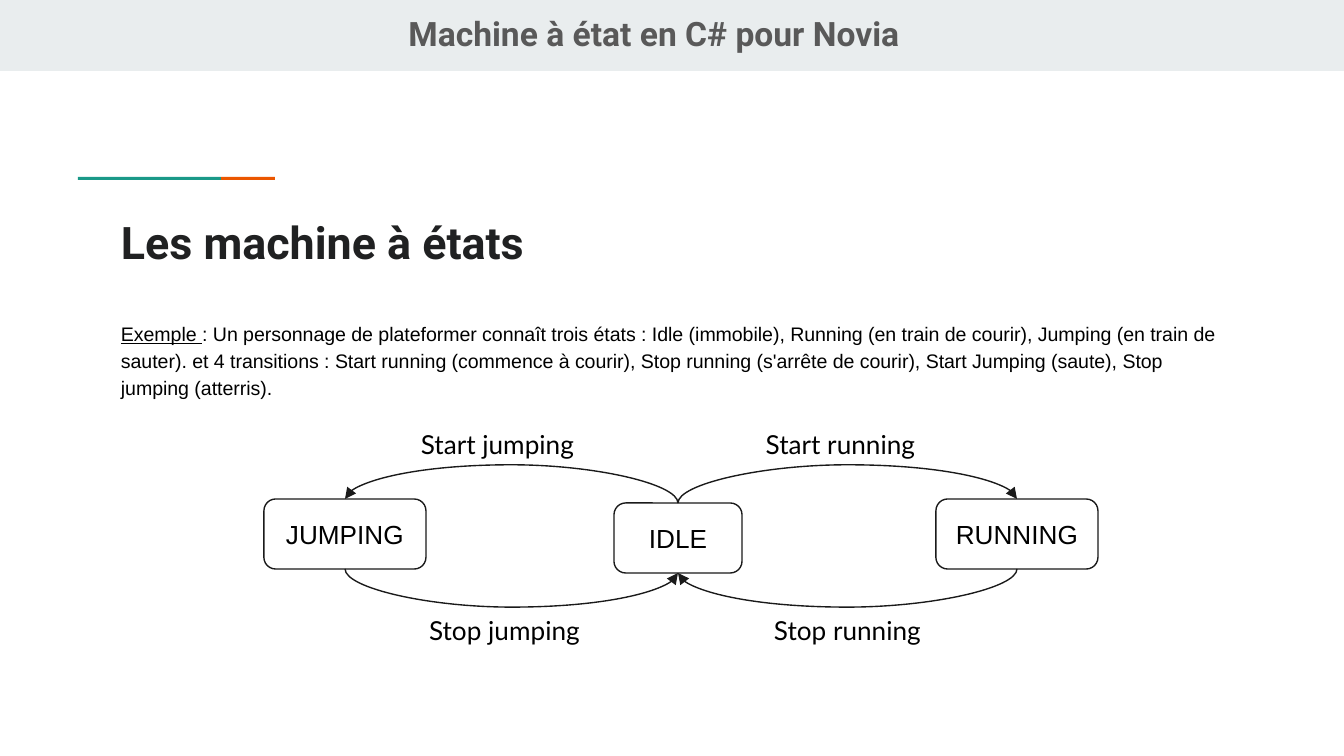
from dataclasses import dataclass

from lxml import etree
from pptx import Presentation
from pptx import util as u
from pptx.dml.color import RGBColor
from pptx.enum import shapes, text
from pptx.oxml import ns

PX = 914400 / 134.4  # EMU per px


def px(n):
    return u.Emu(round(n * PX))


@dataclass(frozen=True)
class Theme:
    band: str = "E9EDEE"
    teal: str = "1A9988"
    orange: str = "EB5600"
    title: str = "202122"
    header: str = "595959"
    ink: str = "000000"
    line: str = "1A1A1A"
    paper: str = "FFFFFF"
    heading_font: str = "Roboto"
    body_font: str = "Arial"
    label_font: str = "Lato"
    title_size: float = 24
    header_size: float = 18
    body_size: float = 10.5
    state_size: float = 14
    line_width: float = 0.75
    inset: int = 13


class Builder:
    TOP, BOTTOM = 0, 2  # connection sites of a box

    def __init__(self, s, theme):
        self.s, self.theme = s, theme

    def rect(self, x, y, w, h, fill, kind=shapes.MSO_SHAPE.RECTANGLE):
        sp = self.s.shapes.add_shape(kind, px(x), px(y), px(w), px(h))
        sp.shadow.inherit = False
        sp.fill.solid()
        sp.fill.fore_color.rgb = RGBColor.from_string(fill)
        sp.line.fill.background()
        return sp

    def paragraph(self, sp, runs, font, size, color, bold=False, center=True):
        """Give a shape one paragraph; runs are (text, underlined) pairs."""
        tf = sp.text_frame
        tf.word_wrap = True
        tf.margin_left = tf.margin_right = px(self.theme.inset)
        tf.margin_top = tf.margin_bottom = px(self.theme.inset)
        p = tf.paragraphs[0]
        p.alignment = text.PP_ALIGN.CENTER if center else text.PP_ALIGN.LEFT
        for words, underlined in runs:
            r = p.add_run()
            r.text = words
            r.font.name, r.font.size = font, u.Pt(size)
            r.font.bold, r.font.underline = bold, underlined
            r.font.color.rgb = RGBColor.from_string(color)
        return p

    def text(self, x, y, w, h, runs, font, size, color, **style):
        sp = self.s.shapes.add_textbox(px(x), px(y), px(w), px(h))
        sp.text_frame.vertical_anchor = text.MSO_ANCHOR.TOP
        return self.paragraph(sp, runs, font, size, color, **style)

    def state(self, name, cx, y, w, h=70):
        t = self.theme
        sp = self.rect(cx - w // 2, y, w, h, t.paper, shapes.MSO_SHAPE.ROUNDED_RECTANGLE)
        sp.line.color.rgb = RGBColor.from_string(t.line)
        sp.line.width = u.Pt(t.line_width)
        sp.text_frame.vertical_anchor = text.MSO_ANCHOR.MIDDLE
        self.paragraph(sp, [(name, False)], t.body_font, t.state_size, t.ink)
        return sp

    def transition(self, start, end, site, bulge=38):
        """Curved arrow between the tops or the bottoms of two states."""
        c = self.s.shapes.add_connector(shapes.MSO_CONNECTOR.CURVE, 0, 0, 0, 0)
        c.begin_connect(start, site)
        c.end_connect(end, site)
        x1, x2 = (b.left + b.width // 2 for b in (start, end))
        y1, y2 = (b.top + (b.height if site == self.BOTTOM else 0) for b in (start, end))

        # The curve lies on its side: its frame is turned a quarter about its centre
        drop, span = abs(y2 - y1), abs(x2 - x1)
        c.left, c.top = (x1 + x2 - drop) // 2, (y1 + y2 - span) // 2
        c.width, c.height = drop, span
        rightward = x2 > x1
        props = c._element.spPr
        xfrm = props.find(ns.qn("a:xfrm"))
        xfrm.set("rot", str((270 if rightward else 90) * 60000))
        xfrm.set("flipH", "1" if rightward == (site == self.BOTTOM) else "0")
        xfrm.set("flipV", "0")
        geom = props.find(ns.qn("a:prstGeom"))
        guides = geom.find(ns.qn("a:avLst"))
        if guides is None:
            guides = etree.SubElement(geom, ns.qn("a:avLst"))
        etree.SubElement(guides, ns.qn("a:gd"), name="adj1",
                         fmla=f"val {round(px(bulge) / drop * 100000)}")

        c.line.color.rgb = RGBColor.from_string(self.theme.line)
        c.line.width = u.Pt(self.theme.line_width)
        etree.SubElement(props.find(ns.qn("a:ln")), ns.qn("a:tailEnd"), type="triangle")
        etree.SubElement(props, ns.qn("a:effectLst"))

    def label(self, words, x, y):
        t = self.theme
        self.text(x, y, 235, 59, [(words, False)], t.label_font, t.state_size, t.ink)


def main():
    prs = Presentation()
    prs.slide_width, prs.slide_height = px(1344), px(756)
    t = Theme()
    b = Builder(prs.slides.add_slide(prs.slide_layouts[6]), t)

    # Header band and accent line
    b.rect(0, 0, 1344, 71, t.band)
    b.rect(221, 177, 54, 3, t.orange)
    b.rect(78, 177, 143, 3, t.teal)

    # Headings
    p = b.text(108, 194, 1130, 79, [("Les machine à états", False)],
               t.heading_font, t.title_size, t.title, bold=True, center=False)
    p.line_spacing = 1.15
    b.text(89, 0, 1130, 70, [("Machine à état en C# pour Novia", False)],
           t.heading_font, t.header_size, t.header, bold=True)

    # Example
    example = (": Un personnage de plateformer connaît trois états : Idle (immobile), "
               "Running (en train de courir), Jumping (en train de sauter). et 4 transitions : "
               "Start running (commence à courir), Stop running (s'arrête de courir), "
               "Start Jumping (saute), Stop jumping (atterris).")
    p = b.text(108, 305, 1130, 99, [("Exemple ", True), (example, False)],
               t.body_font, t.body_size, t.ink, center=False)
    p.line_spacing, p.space_before = 1.15, u.Pt(14)

    # States
    idle = b.state("IDLE", 678, 503, 128)
    running = b.state("RUNNING", 1017, 499, 162)
    jumping = b.state("JUMPING", 345, 499, 162)

    # Transitions, out over the top and back underneath
    for action, state, x in (("running", running, 723), ("jumping", jumping, 380)):
        b.transition(idle, state, b.TOP)
        b.transition(state, idle, b.BOTTOM)
        b.label(f"Start {action}", x, 415)
        b.label(f"Stop {action}", x + 7, 601)

    prs.save("out.pptx")


if __name__ == "__main__":
    main()
